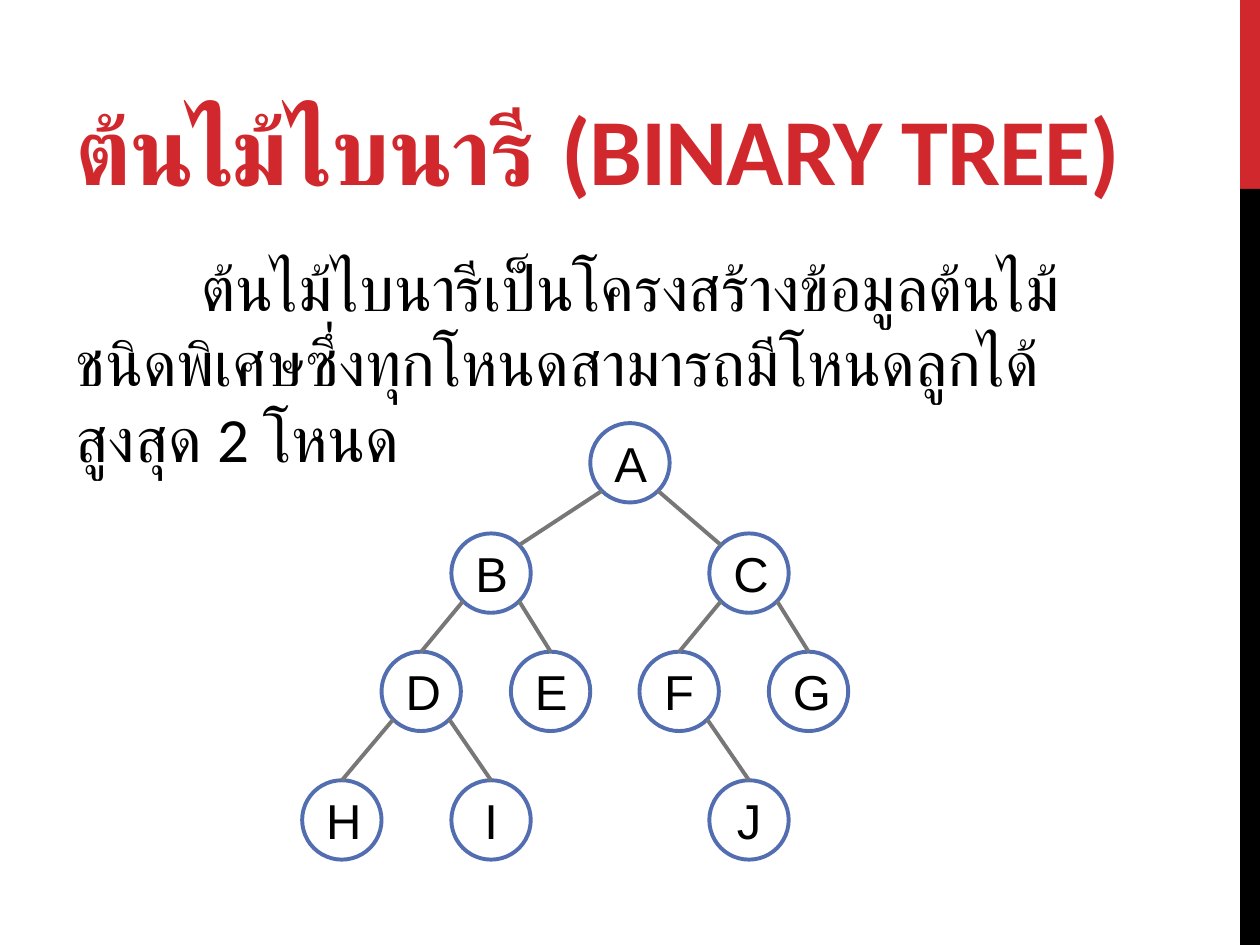
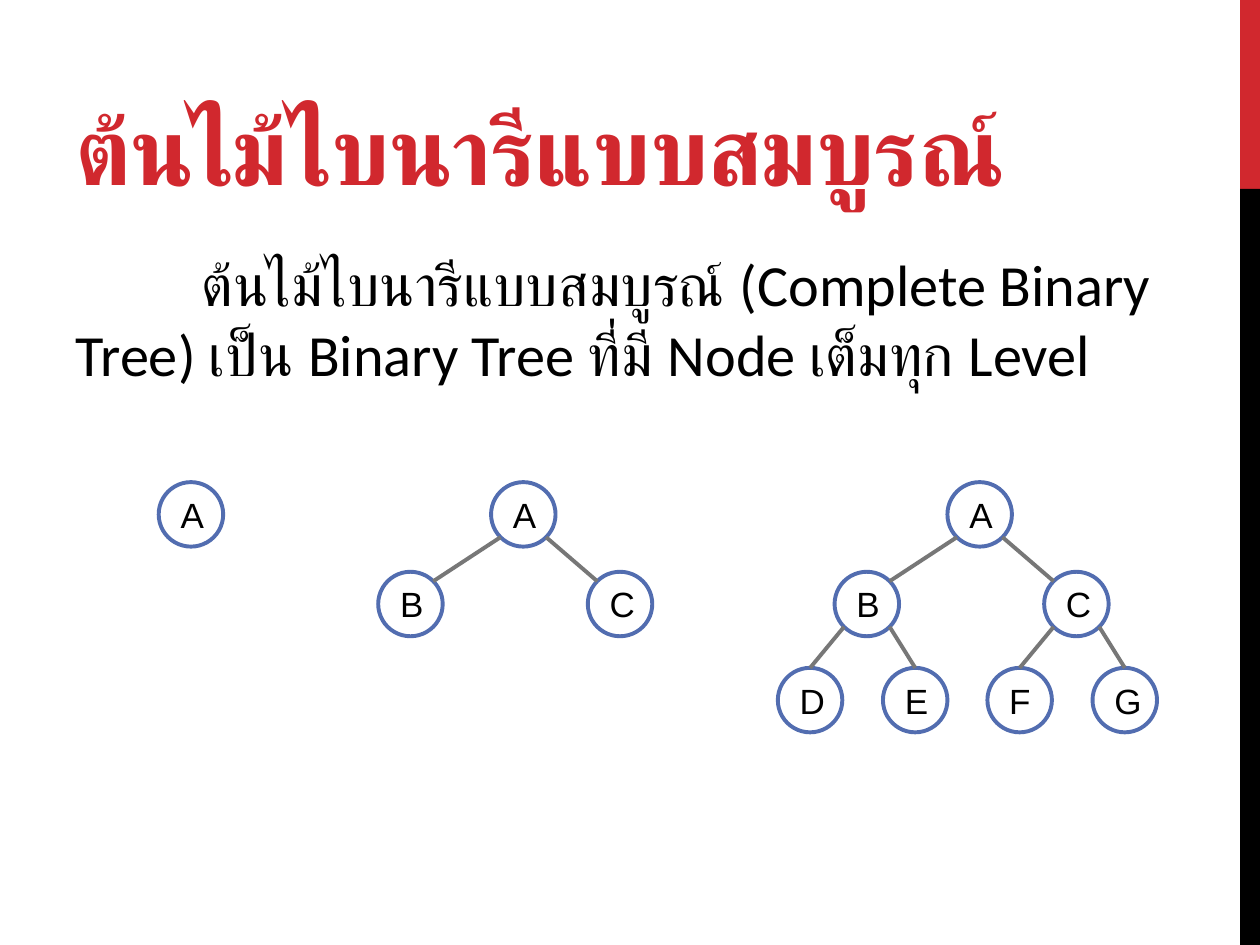
from math import sqrt
from lxml.etree import SubElement
from pptx import Presentation
from pptx.dml.color import RGBColor
from pptx.enum.shapes import MSO_CONNECTOR as Link, MSO_SHAPE as Form
from pptx.enum.text import MSO_ANCHOR as Anchor, MSO_AUTO_SIZE as Fit, PP_ALIGN as Align
from pptx.oxml.ns import qn
from pptx.util import Cm, Pt

RED, BLACK, WHITE = "D1282E", "000000", "FFFFFF"
RING, GREY = "526DB0", "777777"

# Node places relative to the root, in node diameters
SPOTS = {
    "A": (0, 0),
    "B": (-1.75, 1.39), "C": (1.5, 1.39),
    "D": (-2.63, 2.88), "E": (-1, 2.88), "F": (0.62, 2.88), "G": (2.25, 2.88),
    "H": (-3.63, 4.5), "I": (-1.75, 4.5), "J": (1.5, 4.5),
}
PARENT = dict(zip("BCDEFGHIJ", "AABBCCDDF"))
DIAG = sqrt(2) / 4  # reach of a 45-degree point on a circle of diameter 1


def color(code):
    return RGBColor.from_string(code)


def style(par, size, font, code, bold=False):
    par.font.size = Pt(size)
    par.font.name = font
    par.font.bold = bold
    par.font.color.rgb = color(code)


def place(shape, left, top, width, height):
    shape.left, shape.top = Cm(left), Cm(top)
    shape.width, shape.height = Cm(width), Cm(height)


def add_band(slide, top, height, code):
    band = slide.shapes.add_shape(Form.RECTANGLE, Cm(25), Cm(top), Cm(0.4), Cm(height))
    band.shadow.inherit = False
    band.fill.solid()
    band.fill.fore_color.rgb = color(code)
    band.line.fill.background()


def add_title(slide, text):
    title = slide.shapes.title
    place(title, 1.27, 0.43, 22.23, 3.81)
    frame = title.text_frame
    frame.text = text
    frame.auto_size = Fit.NONE
    frame.vertical_anchor = Anchor.BOTTOM
    par = frame.paragraphs[0]
    par.alignment = Align.LEFT
    style(par, 54, "Calibri", RED, bold=True)
    par.runs[0]._r.get_or_add_rPr().set("spc", "-60")


def add_body(slide, text, size):
    body = slide.placeholders[1]
    place(body, 1.27, 4.88, 22.23, 12.14)
    frame = body.text_frame
    frame.text = text
    frame.auto_size = Fit.NONE
    par = frame.paragraphs[0]
    par.space_before, par.space_after = Pt(0), Pt(6)
    style(par, size, "Calibri", BLACK)
    props = par._p.get_or_add_pPr()
    props.set("marL", "0")
    props.set("indent", str(Cm(2.54)))
    props.insert_element_before(props.makeelement(qn("a:buNone")), "a:tabLst", "a:defRPr")


def add_node(slide, name, x, y, size, points):
    """Draw a lettered circle centred on x, y."""
    node = slide.shapes.add_shape(
        Form.OVAL, Cm(x - size / 2), Cm(y - size / 2), Cm(size), Cm(size))
    node.shadow.inherit = False
    node.fill.solid()
    node.fill.fore_color.rgb = color(WHITE)
    node.line.color.rgb = color(RING)
    node.line.width = Pt(2.25)
    frame = node.text_frame
    frame.text = name
    frame.vertical_anchor = Anchor.MIDDLE
    par = frame.paragraphs[0]
    par.alignment = Align.CENTER
    style(par, points, "Arial", BLACK)


def add_edge(slide, start, end):
    edge = slide.shapes.add_connector(Link.STRAIGHT, *(Cm(v) for v in start + end))
    edge.line.color.rgb = color(GREY)
    edge.line.width = Pt(2.25)
    SubElement(edge._element.spPr, qn("a:effectLst"))


def add_tree(slide, names, x, y, size, points):
    """Draw the named nodes, with the root centred on x, y."""
    def spot(dx, dy):
        return x + dx * size, y + dy * size

    for name in names:
        add_node(slide, name, *spot(*SPOTS[name]), size, points)
    for name in names[1:]:
        (px, py), (cx, cy) = SPOTS[PARENT[name]], SPOTS[name]
        side = DIAG if cx > px else -DIAG
        # Edges from the root meet the child's shoulder, others its top
        tip = (cx - side, cy - DIAG) if PARENT[name] == "A" else (cx, cy - 0.5)
        add_edge(slide, spot(px + side, py + DIAG), spot(*tip))


def add_slide(deck, title, text, size):
    slide = deck.slides.add_slide(deck.slide_layouts[1])
    add_band(slide, 0, 3.81, RED)
    add_band(slide, 3.81, 15.24, BLACK)
    add_title(slide, title)
    add_body(slide, text, size)
    return slide


def main():
    deck = Presentation()
    deck.slide_width, deck.slide_height = Cm(25.4), Cm(19.05)

    slide = add_slide(
        deck, "ต้นไม้ไบนารี (BINARY TREE)",
        "ต้นไม้ไบนารีเป็นโครงสร้างข้อมูลต้นไม้ชนิดพิเศษ"
        "ซึ่งทุกโหนดสามารถมีโหนดลูกได้สูงสุด 2 โหนด", 36)
    add_tree(slide, "ABCDEFGHIJ", 12.7, 9.33, 1.6, 28)

    slide = add_slide(
        deck, "ต้นไม้ไบนารีแบบสมบูรณ์",
        "ต้นไม้ไบนารีแบบสมบูรณ์ (Complete Binary Tree) "
        "เป็น Binary Tree ที่มี Node เต็มทุก Level", 33.3)
    for names, x in (("A", 3.85), ("ABC", 10.55), ("ABCDEFG", 19.75)):
        add_tree(slide, names, x, 10.37, 1.3, 20)

    deck.save("out.pptx")


if __name__ == "__main__":
    main()
